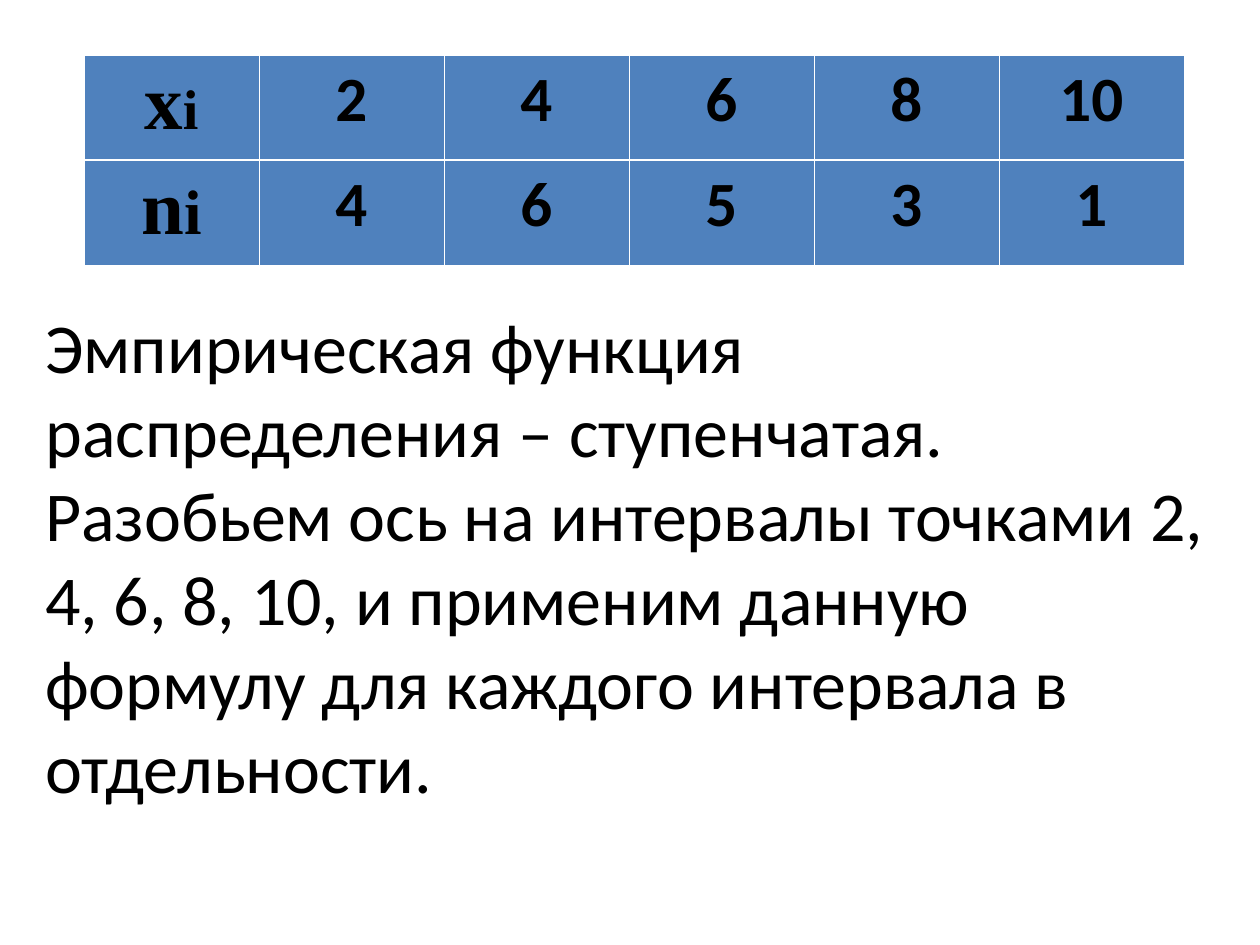
"""Build a slide with a frequency table and a note on the empirical distribution function."""
from dataclasses import dataclass

import lxml.etree
import pptx
import pptx.dml.color
import pptx.enum.text
import pptx.oxml.ns
import pptx.util

EMU_PER_PX = 914400 / 126
BLACK, WHITE, BLUE = "000000", "FFFFFF", "4F81BD"
THIN, THICK = 0.45, 1.47
FIRST_COLUMN, OTHER_COLUMN, ROW_HEIGHT = 175, 185, 105
CELL_MARGINS = {"margin_left": 8, "margin_right": 8, "margin_top": 6, "margin_bottom": 6}


@dataclass(frozen=True)
class Piece:
    """A stretch of text in one format."""

    text: str
    size: int
    font: str = "Calibri"
    bold: bool = False


@dataclass(frozen=True)
class Series:
    """A table row: a symbol with its index, then the values."""

    symbol: str
    index_size: int
    values: tuple[int, ...]

    def cells(self) -> list[list[Piece]]:
        """Return the text pieces of each cell."""
        label = [
            Piece(self.symbol, 44, "Times New Roman", True),
            Piece("i", self.index_size, "Times New Roman", True),
        ]
        return [label] + [[Piece(str(value), 36, bold=True)] for value in self.values]


SERIES = (
    Series("x", 32, (2, 4, 6, 8, 10)),
    Series("n", 36, (4, 6, 5, 3, 1)),
)
NOTES = (
    "Эмпирическая функция распределения – ступенчатая.",
    "Разобьем ось на интервалы точками 2, 4, 6, 8, 10, и применим данную "
    "формулу для каждого интервала в отдельности.",
)


def px(length: int) -> pptx.util.Emu:
    """Turn pixels into EMU."""
    return pptx.util.Emu(round(length * EMU_PER_PX))


def color(value: str) -> pptx.dml.color.RGBColor:
    """Turn a hex string into a colour."""
    return pptx.dml.color.RGBColor.from_string(value)


def apply_format(target, values: dict) -> None:
    """Set each named attribute on the target."""
    for name, value in values.items():
        setattr(target, name, value)


def add_piece(paragraph, piece: Piece) -> None:
    """Add a formatted run to the paragraph."""
    run = paragraph.add_run()
    run.text = piece.text
    apply_format(
        run.font,
        {"size": pptx.util.Pt(piece.size), "name": piece.font, "bold": piece.bold},
    )
    run.font.color.rgb = color(BLACK)


def add_borders(cell, widths: dict[str, float]) -> None:
    """Draw white borders of the given point widths around the cell."""
    properties = cell._tc.get_or_add_tcPr()
    for side, width in widths.items():
        line = lxml.etree.SubElement(
            properties, pptx.oxml.ns.qn(f"a:ln{side}"), w=str(pptx.util.Pt(width))
        )
        fill = lxml.etree.SubElement(line, pptx.oxml.ns.qn("a:solidFill"))
        lxml.etree.SubElement(fill, pptx.oxml.ns.qn("a:srgbClr"), val=WHITE)


def fill_cell(cell, pieces: list[Piece], widths: dict[str, float]) -> None:
    """Format one table cell and write its text."""
    add_borders(cell, widths)
    cell.fill.solid()
    cell.fill.fore_color.rgb = color(BLUE)
    apply_format(cell, {name: px(value) for name, value in CELL_MARGINS.items()})
    paragraph = cell.text_frame.paragraphs[0]
    paragraph.alignment = pptx.enum.text.PP_ALIGN.CENTER
    for piece in pieces:
        add_piece(paragraph, piece)


def add_frequency_table(slide, left: int, top: int) -> None:
    """Add the table of values and frequencies."""
    value_count = len(SERIES[0].values)
    table = slide.shapes.add_table(
        len(SERIES),
        value_count + 1,
        px(left),
        px(top),
        px(FIRST_COLUMN + value_count * OTHER_COLUMN),
        px(len(SERIES) * ROW_HEIGHT),
    ).table
    apply_format(table, {"first_row": False, "horz_banding": False})
    for index, column in enumerate(table.columns):
        column.width = px(OTHER_COLUMN if index else FIRST_COLUMN)
    for row_index, series in enumerate(SERIES):
        table.rows[row_index].height = px(ROW_HEIGHT)
        widths = {
            "L": THIN,
            "R": THIN,
            "T": THICK if row_index else THIN,
            "B": THIN if row_index else THICK,
        }
        for column_index, pieces in enumerate(series.cells()):
            fill_cell(table.cell(row_index, column_index), pieces, widths)


def add_notes_text(slide, left: int, top: int, width: int, height: int) -> None:
    """Add the explanation below the table."""
    frame = slide.shapes.add_textbox(px(left), px(top), px(width), px(height)).text_frame
    apply_format(
        frame,
        {"word_wrap": True, "vertical_anchor": pptx.enum.text.MSO_ANCHOR.TOP},
    )
    for index, note in enumerate(NOTES):
        paragraph = frame.add_paragraph() if index else frame.paragraphs[0]
        add_piece(paragraph, Piece(note, 40))


def main() -> None:
    """Build and save the presentation."""
    presentation = pptx.Presentation()
    apply_format(presentation, {"slide_width": px(1260), "slide_height": px(945)})
    slide = presentation.slides.add_slide(presentation.slide_layouts[6])
    add_frequency_table(slide, 84, 55)
    add_notes_text(slide, 33, 297, 1194, 601)
    presentation.save("out.pptx")


if __name__ == "__main__":
    main()
